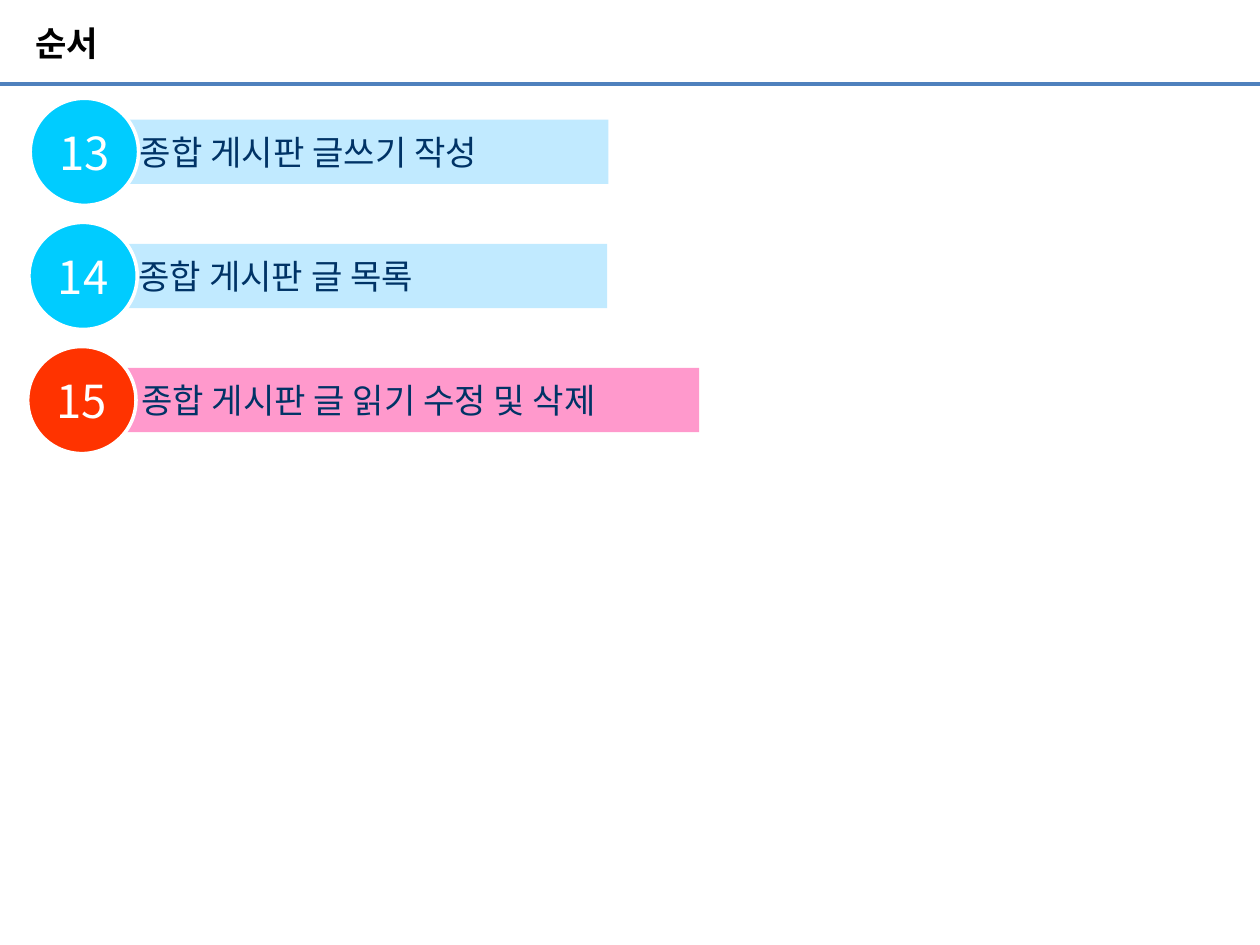
from dataclasses import dataclass

from lxml.etree import SubElement
from pptx import Presentation
from pptx.dml.color import RGBColor
from pptx.enum.shapes import MSO_CONNECTOR as Connector, MSO_SHAPE as Preset
from pptx.enum.text import MSO_ANCHOR as Anchor, PP_ALIGN as Align
from pptx.oxml.ns import qn
from pptx.util import Inches, Pt


@dataclass(frozen=True)
class Theme:
    black: str = "000000"
    white: str = "FFFFFF"
    rule: str = "4F81BD"
    navy: str = "003366"
    done_bar: str = "C1EAFF"
    done_badge: str = "00CCFF"
    current_bar: str = "FF99CC"
    current_badge: str = "FF3300"
    title_font: str = "Arial"
    body_font: str = "Noto Sans CJK KR"
    text_size: float = 19.5
    number_size: float = 26


THEME = Theme()
FIRST_TOP = 0.78
ROW_STEP = 0.985
BADGE_WIDTH, BADGE_HEIGHT = 0.86, 0.85
BAR_HEIGHT = 0.51


def rgb(code):
    return RGBColor.from_string(code)


def write(shape, text, font, size, color, align=Align.LEFT, bold=False, indent=0):
    frame = shape.text_frame
    frame.text = text
    frame.word_wrap = True
    frame.vertical_anchor = Anchor.MIDDLE
    frame.margin_left = Inches(indent)
    frame.margin_right = frame.margin_top = frame.margin_bottom = 0
    paragraph = frame.paragraphs[0]
    paragraph.alignment = align
    run = paragraph.runs[0]
    run.font.name = font
    run.font.size = Pt(size)
    run.font.bold = bold
    run.font.color.rgb = rgb(color)
    SubElement(run.font._element, qn("a:ea")).set("typeface", THEME.body_font)


def add_filled(slide, preset, left, top, width, height, fill):
    shape = slide.shapes.add_shape(
        preset, Inches(left), Inches(top), Inches(width), Inches(height))
    shape.shadow.inherit = False
    shape.fill.solid()
    shape.fill.fore_color.rgb = rgb(fill)
    shape.line.fill.background()
    return shape


def add_rule(slide, top, width):
    rule = slide.shapes.add_connector(
        Connector.STRAIGHT, 0, Inches(top), Inches(width), Inches(top))
    rule.line.color.rgb = rgb(THEME.rule)
    rule.line.width = Pt(2.25)
    SubElement(rule._element.spPr, qn("a:effectLst"))


def set_title(slide, text):
    title = slide.shapes.title
    title.left, title.top = Inches(0.28), 0
    title.width, title.height = Inches(6.54), Inches(0.68)
    write(title, text, THEME.title_font, THEME.text_size, THEME.black, bold=True)


def add_chapter(slide, row, number, topic, badge_left, bar_left, bar_width,
                text_left, bar_fill, badge_fill):
    top = FIRST_TOP + row * ROW_STEP
    bar_top = top + (BADGE_HEIGHT - BAR_HEIGHT) / 2
    bar = add_filled(slide, Preset.RECTANGLE, bar_left, bar_top,
                     bar_width, BAR_HEIGHT, bar_fill)
    write(bar, topic, THEME.body_font, THEME.text_size, THEME.navy,
          indent=text_left - bar_left)
    badge = add_filled(slide, Preset.OVAL, badge_left, top,
                       BADGE_WIDTH, BADGE_HEIGHT, badge_fill)
    badge.line.color.rgb = rgb(THEME.white)
    badge.line.width = Pt(2)
    write(badge, number, THEME.body_font, THEME.number_size, THEME.white, Align.CENTER)


def main():
    deck = Presentation()
    deck.slide_width, deck.slide_height = Inches(10), Inches(7.5)
    slide = deck.slides.add_slide(deck.slide_layouts[5])
    add_rule(slide, 0.67, 10)
    set_title(slide, "순서")

    done = (THEME.done_bar, THEME.done_badge)
    current = (THEME.current_bar, THEME.current_badge)
    chapters = [
        ("13", "종합 게시판 글쓰기 작성", 0.24, 0.6, 4.23, 1.11, *done),
        ("14", "종합 게시판 글 목록", 0.23, 0.59, 4.23, 1.1, *done),
        ("15", "종합 게시판 글 읽기 수정 및 삭제", 0.22, 0.55, 5, 1.12, *current),
    ]
    for row, chapter in enumerate(chapters):
        add_chapter(slide, row, *chapter)
    deck.save("out.pptx")


if __name__ == "__main__":
    main()
